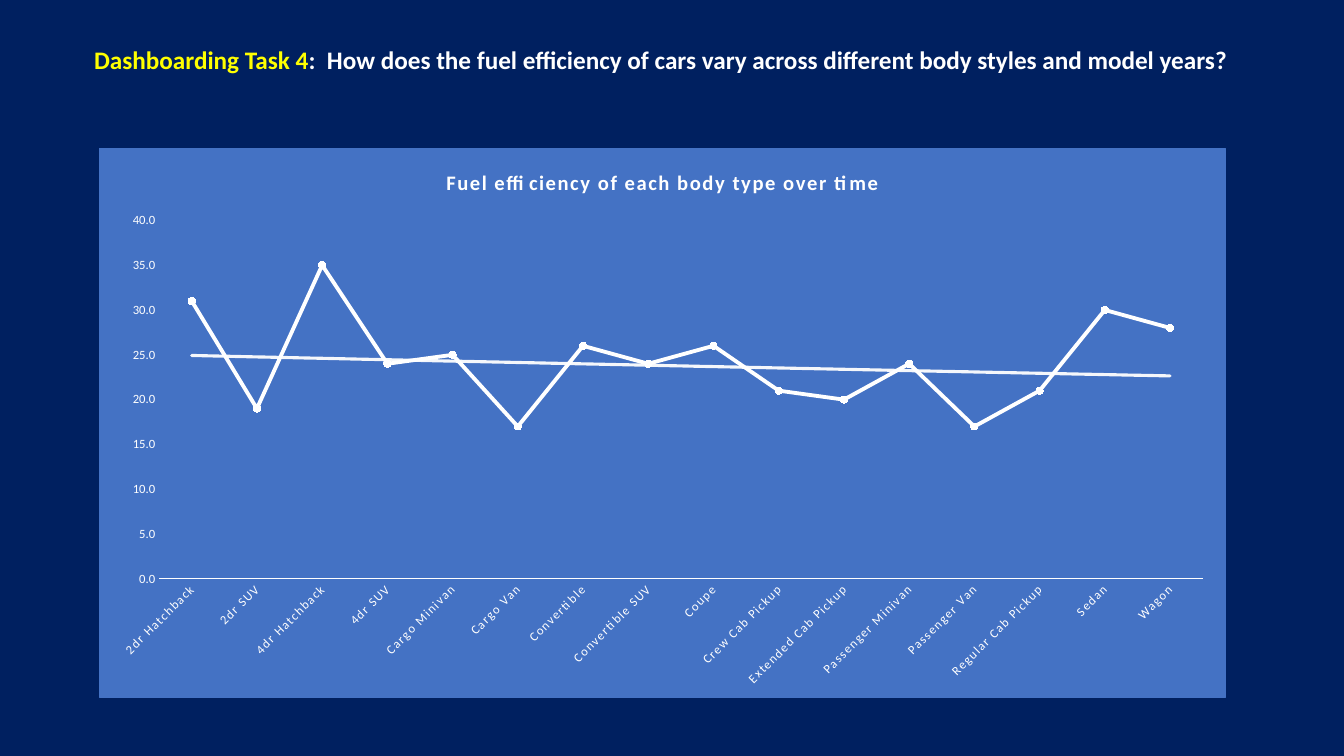
import pptx
import pptx.chart.data
import pptx.dml.color
import pptx.enum.chart
import pptx.enum.text
import pptx.oxml
import pptx.oxml.ns
import pptx.util

Pt = pptx.util.Pt

COLORS = {"navy": "002060", "blue": "4472C4", "white": "FFFFFF", "yellow": "FFFF00"}
FONT = "Calibri"
HEADING = [
    ("Dashboarding Task 4", "yellow"),
    (":  How does the fuel efficiency of cars vary across different body styles and model years?", "white"),
]
CHART_TITLE = "Fuel efficiency of each body type over time"
EFFICIENCY = {
    "2dr Hatchback": 31,
    "2dr SUV": 19,
    "4dr Hatchback": 35,
    "4dr SUV": 24,
    "Cargo Minivan": 25,
    "Cargo Van": 17,
    "Convertible": 26,
    "Convertible SUV": 24,
    "Coupe": 26,
    "Crew Cab Pickup": 21,
    "Extended Cab Pickup": 20,
    "Passenger Minivan": 24,
    "Passenger Van": 17,
    "Regular Cab Pickup": 21,
    "Sedan": 30,
    "Wagon": 28,
}
HEADING_BOX = (60, 28, 840, 29)
CHART_BOX = (71, 105.5, 804.5, 393)


def rgb(name):
    return pptx.dml.color.RGBColor.from_string(COLORS[name])


def style_font(font, size, color="white", bold=False):
    font.name, font.size, font.bold = FONT, Pt(size), bold
    font.color.rgb = rgb(color)


def add_text(paragraph, text, size, color="white", bold=False, spacing=0):
    run = paragraph.add_run()
    run.text = text
    style_font(run.font, size, color, bold)
    if spacing:
        run.font._element.set("spc", str(spacing))


def style_line(line, color, width):
    line.color.rgb = rgb(color)
    line.width = Pt(width)


def chart_xml(body):
    ns = pptx.oxml.ns.nsdecls("c", "a")
    return pptx.oxml.parse_xml(body.replace(">", f" {ns}>", 1))


deck = pptx.Presentation()
deck.slide_width, deck.slide_height = Pt(960), Pt(540)
slide = deck.slides.add_slide(deck.slide_layouts[5])
slide.background.fill.solid()
slide.background.fill.fore_color.rgb = rgb("navy")

heading = slide.shapes.title
heading.left, heading.top, heading.width, heading.height = map(Pt, HEADING_BOX)
heading.text_frame.vertical_anchor = pptx.enum.text.MSO_ANCHOR.TOP
heading.text_frame.auto_size = pptx.enum.text.MSO_AUTO_SIZE.SHAPE_TO_FIT_TEXT
heading_line = heading.text_frame.paragraphs[0]
heading_line.alignment = pptx.enum.text.PP_ALIGN.LEFT
for words, color in HEADING:
    add_text(heading_line, words, 18, color=color, bold=True)

chart_data = pptx.chart.data.CategoryChartData(number_format="0.0")
chart_data.categories = list(EFFICIENCY)
chart_data.add_series("Series 1", list(EFFICIENCY.values()))
chart = slide.shapes.add_chart(
    pptx.enum.chart.XL_CHART_TYPE.LINE_MARKERS, *map(Pt, CHART_BOX), chart_data
).chart
style_font(chart.font, 10)
chart.has_legend = False
chart.has_title = True
add_text(chart.chart_title.text_frame.paragraphs[0], CHART_TITLE, 14.7, bold=True, spacing=100)
chart.plots[0].vary_by_categories = False

body_styles, mileage = chart.category_axis, chart.value_axis
for axis in (body_styles, mileage):
    axis.has_major_gridlines = False
    axis.major_tick_mark = axis.minor_tick_mark = pptx.enum.chart.XL_TICK_MARK.NONE
    style_font(axis.tick_labels.font, 9)
style_line(body_styles.format.line, "white", 0.75)
label_text = body_styles._element.find(pptx.oxml.ns.qn("c:txPr"))
label_text.find(pptx.oxml.ns.qn("a:bodyPr")).set("rot", "-2700000")
body_styles.tick_labels.font._element.set("spc", "100")
mileage.format.line.fill.background()
mileage.minimum_scale, mileage.maximum_scale, mileage.major_unit = 0, 40, 5
mileage.tick_labels.number_format = "0.0"
mileage.tick_labels.number_format_is_linked = False

series = chart.plots[0].series[0]
series.smooth = False
style_line(series.format.line, "white", 2.75)
series.marker.style = pptx.enum.chart.XL_MARKER_STYLE.CIRCLE
series.marker.size = 5
series.marker.format.fill.solid()
series.marker.format.fill.fore_color.rgb = rgb("white")
style_line(series.marker.format.line, "white", 0.75)

trend = chart_xml(
    '<c:trendline><c:spPr><a:ln w="28575" cap="rnd"><a:solidFill>'
    f'<a:srgbClr val="{COLORS["white"]}"><a:alpha val="95000"/></a:srgbClr>'
    '</a:solidFill></a:ln></c:spPr><c:trendlineType val="exp"/>'
    '<c:dispRSqr val="0"/><c:dispEq val="0"/></c:trendline>'
)
series._element.find(pptx.oxml.ns.qn("c:cat")).addprevious(trend)

panel = chart_xml(
    f'<c:spPr><a:solidFill><a:srgbClr val="{COLORS["blue"]}"/></a:solidFill>'
    f'<a:ln w="9525"><a:solidFill><a:srgbClr val="{COLORS["blue"]}"/></a:solidFill></a:ln></c:spPr>'
)
chart._chartSpace.find(pptx.oxml.ns.qn("c:chart")).addnext(panel)

deck.save("out.pptx")
